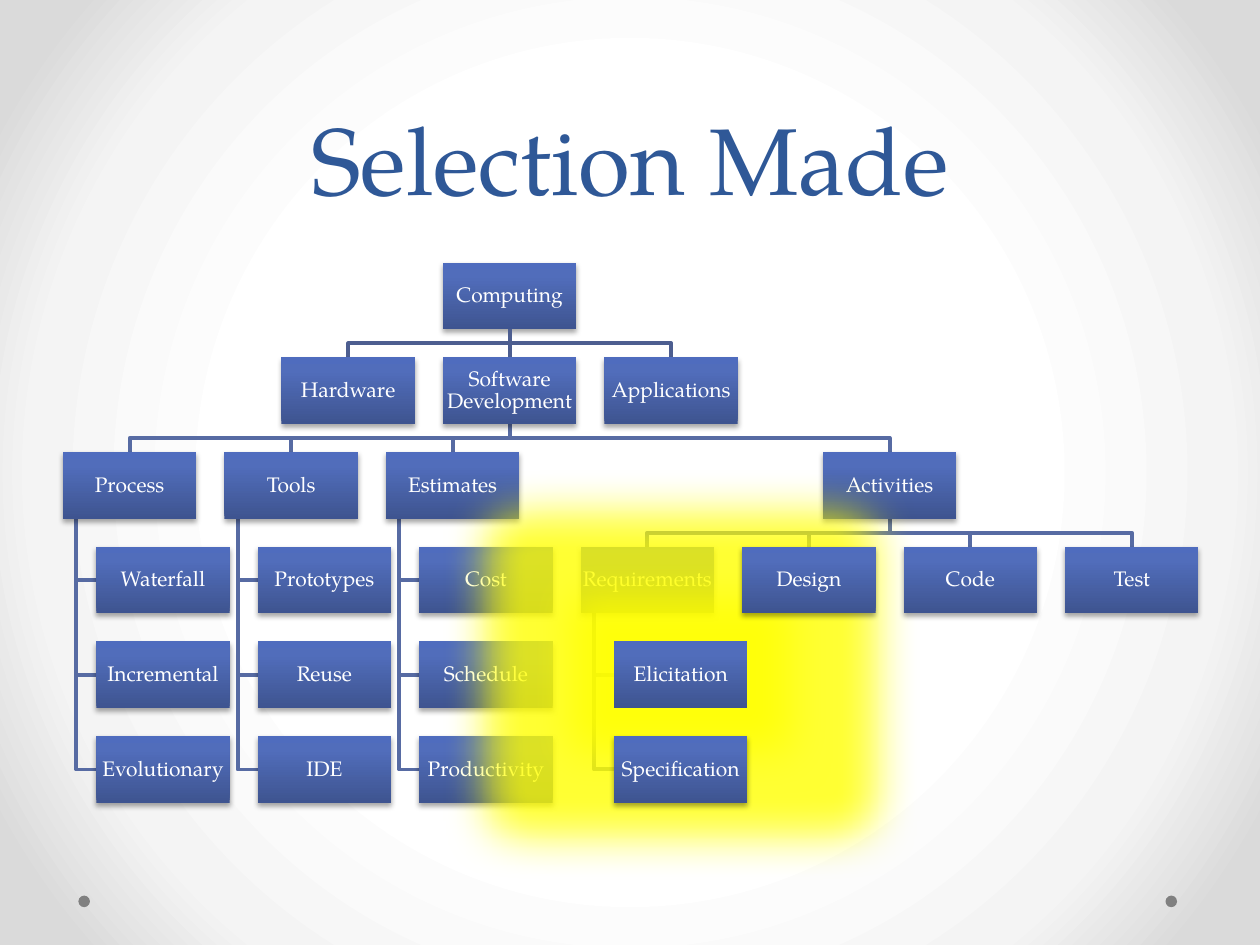
import pptx
import pptx.util
import pptx.dml.color
import pptx.enum.shapes
import pptx.enum.text
import pptx.oxml
import pptx.oxml.ns

Pt = pptx.util.Pt
SHAPES = pptx.enum.shapes.MSO_SHAPE
ANCHOR = pptx.enum.text.MSO_ANCHOR

# Content: each parent with the children fanned out below it or hung in a column
TITLE = "Selection Made"
ROOT, TRUNK, HIGHLIGHT = "Computing", "Software Development", "Elicitation"
FANS = {
    ROOT: ["Hardware", TRUNK, "Applications"],
    TRUNK: ["Process", "Tools", "Estimates", "Activities"],
    "Activities": ["Requirements", "Design", "Code", "Test"],
}
HANGS = {
    "Process": ["Waterfall", "Incremental", "Evolutionary"],
    "Tools": ["Prototypes", "Reuse", "IDE"],
    "Estimates": ["Cost", "Schedule", "Productivity"],
    "Requirements": [HIGHLIGHT, "Specification"],
}

THEME = {
    "font": "TeX Gyre Pagella",
    "title": "2F5897", "title_size": 54, "title_leading": Pt(58),
    "label": "FFFFFF", "label_size": 12, "label_leading": 0.9,
    "box": [(0, "3E5490"), (80, "516DBB"), (100, "4F6CBE")],
    "page": [(50, "FFFFFF"), (76, "F4F4F4"), (92, "DADADA")],
    "root_line": "4D5E90", "line": "576BA3", "line_width": 2.25,
    "dot": "808080", "glow": "FFFF00",
}

# Grid, in points
LEFT, TOP = 36, 150.1
BOX_W, BOX_H = 76.25, 38.1
GAP = 0.21 * BOX_W
STEP_X, STEP_Y = BOX_W + GAP, BOX_H + GAP
INDENT, STEM = 0.25 * BOX_W, 0.1 * BOX_W


def place_boxes():
    """Return the left and top of every box."""
    lefts = {name: LEFT + i * STEP_X for i, name in enumerate(FANS[TRUNK][:3])}
    first = LEFT + 3 * STEP_X + INDENT
    lefts.update({name: first + i * STEP_X for i, name in enumerate(FANS["Activities"])})
    lefts["Activities"] = (lefts["Requirements"] + lefts["Test"]) / 2
    middle = (lefts["Process"] + lefts["Activities"]) / 2
    lefts[ROOT] = middle
    lefts.update({name: middle + (i - 1) * STEP_X for i, name in enumerate(FANS[ROOT])})

    rows = {ROOT: 0}
    for parent, children in FANS.items():
        rows.update({child: rows[parent] + 1 for child in children})
    for parent, children in HANGS.items():
        for i, child in enumerate(children):
            lefts[child] = lefts[parent] + INDENT
            rows[child] = rows[parent] + 1 + i
    return {name: (lefts[name], TOP + rows[name] * STEP_Y) for name in lefts}


def drawing_order(name):
    """List a box, then everything below it, branch by branch."""
    yield name
    for child in FANS.get(name, []) + HANGS.get(name, []):
        yield from drawing_order(child)


def rgb(value):
    return pptx.dml.color.RGBColor.from_string(value)


def drawing_xml(text):
    return pptx.oxml.parse_xml(text.replace("<a:", f'<a:', 1).replace(
        " ", f' {pptx.oxml.ns.nsdecls("a")} ', 1))


def paint_gradient(fill, holder, stops, direction):
    fill.gradient()
    gradient = holder.find(".//" + pptx.oxml.ns.qn("a:gradFill"))
    for child in list(gradient):
        gradient.remove(child)
    marks = "".join(f'<a:gs pos="{pos * 1000}"><a:srgbClr val="{color}"/></a:gs>'
                    for pos, color in stops)
    gradient.append(pptx.oxml.parse_xml(
        f'<a:gsLst {pptx.oxml.ns.nsdecls("a")}>{marks}</a:gsLst>'))
    gradient.append(drawing_xml(direction))


def write(shape, text, *, size, color, leading, anchor, inset):
    frame = shape.text_frame
    frame.word_wrap = True
    frame.vertical_anchor = anchor
    frame.margin_left = frame.margin_right = Pt(inset)
    frame.margin_top = frame.margin_bottom = Pt(inset)
    para = frame.paragraphs[0]
    para.alignment = pptx.enum.text.PP_ALIGN.CENTER
    para.line_spacing = leading
    span = para.add_run()
    span.text = text
    span.font.name = THEME["font"]
    span.font.size = Pt(size)
    span.font.color.rgb = rgb(color)


def add_plain(page, kind, left, top, width, height):
    shape = page.shapes.add_shape(kind, Pt(left), Pt(top), Pt(width), Pt(height))
    shape.shadow.inherit = False
    shape.line.fill.background()
    return shape


def add_box(page, name, left, top):
    box = add_plain(page, SHAPES.RECTANGLE, left, top, BOX_W, BOX_H)
    properties = box.element.spPr
    paint_gradient(box.fill, properties, THEME["box"], '<a:lin ang="16200000" scaled="0"/>')
    if name == HIGHLIGHT:
        effect = (f'<a:glow rad="{Pt(50)}"><a:srgbClr val="{THEME["glow"]}">'
                  '<a:alpha val="80000"/></a:srgbClr></a:glow>')
    else:
        effect = (f'<a:outerShdw blurRad="{Pt(3.1)}" dist="{Pt(1.8)}" dir="5400000" '
                  'rotWithShape="0"><a:srgbClr val="000000"><a:alpha val="35000"/>'
                  '</a:srgbClr></a:outerShdw>')
    properties.find(pptx.oxml.ns.qn("a:effectLst")).append(drawing_xml(effect))
    write(box, name, size=THEME["label_size"], color=THEME["label"],
          leading=THEME["label_leading"], anchor=ANCHOR.MIDDLE, inset=0.7)
    return box


def style_line(shape, color):
    shape.line.color.rgb = rgb(color)
    shape.line.width = Pt(THEME["line_width"])


def add_bend(page, points, color):
    start, *rest = [(Pt(x), Pt(y)) for x, y in points]
    builder = page.shapes.build_freeform(*start)
    builder.add_line_segments(rest, close=False)
    bend = builder.convert_to_shape()
    bend.shadow.inherit = False
    bend.fill.background()
    style_line(bend, color)


def main():
    deck = pptx.Presentation()
    deck.slide_width, deck.slide_height = Pt(720), Pt(540)
    page = deck.slides.add_slide(deck.slide_layouts[6])

    # Background, corner dots and title
    paint_gradient(page.background.fill, page.element, THEME["page"],
                   '<a:path path="circle"><a:fillToRect l="50000" t="50000" '
                   'r="50000" b="50000"/></a:path>')
    for left in (666, 44.8):
        dot = add_plain(page, SHAPES.OVAL, left, 511.8, 6.6, 6.6)
        dot.fill.solid()
        dot.fill.fore_color.rgb = rgb(THEME["dot"])
    title = page.shapes.add_textbox(Pt(36), Pt(0), Pt(648), Pt(126))
    write(title, TITLE, size=THEME["title_size"], color=THEME["title"],
          leading=THEME["title_leading"], anchor=ANCHOR.BOTTOM, inset=3.6)

    # Bent lines behind the boxes
    places = place_boxes()
    for parent, children in FANS.items():
        left, top = places[parent]
        x, bottom = left + BOX_W / 2, top + BOX_H
        for child in children:
            if (parent, child) == (ROOT, TRUNK):
                continue
            end_x, end_y = places[child][0] + BOX_W / 2, places[child][1]
            bar = bottom + GAP / 2
            add_bend(page, [(x, bottom), (x, bar), (end_x, bar), (end_x, end_y)],
                     THEME["root_line" if parent == ROOT else "line"])
    for parent, children in HANGS.items():
        left, top = places[parent]
        for child in children:
            end_x, end_y = places[child][0], places[child][1] + BOX_H / 2
            add_bend(page, [(left + STEM, top + BOX_H), (left + STEM, end_y), (end_x, end_y)],
                     THEME["line"])

    # Boxes, then the one straight line joining two of them
    boxes = {name: add_box(page, name, *places[name]) for name in drawing_order(ROOT)}
    link = page.shapes.add_connector(pptx.enum.shapes.MSO_CONNECTOR.STRAIGHT, 0, 0, 0, 0)
    link.begin_connect(boxes[ROOT], 2)
    link.end_connect(boxes[TRUNK], 0)
    style_line(link, THEME["root_line"])
    link.element.spPr.append(drawing_xml('<a:effectLst />'))

    deck.save("out.pptx")


if __name__ == "__main__":
    main()
